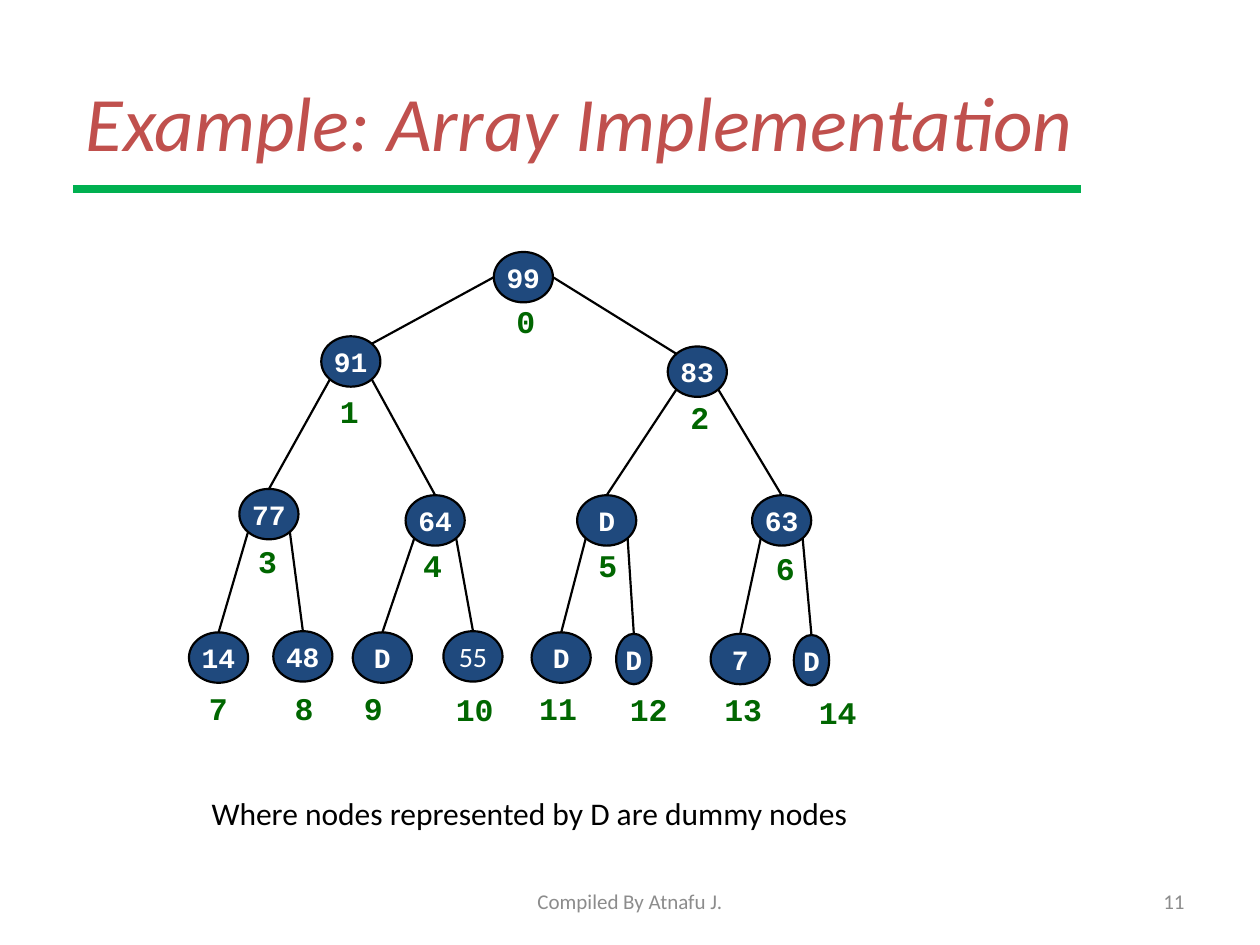
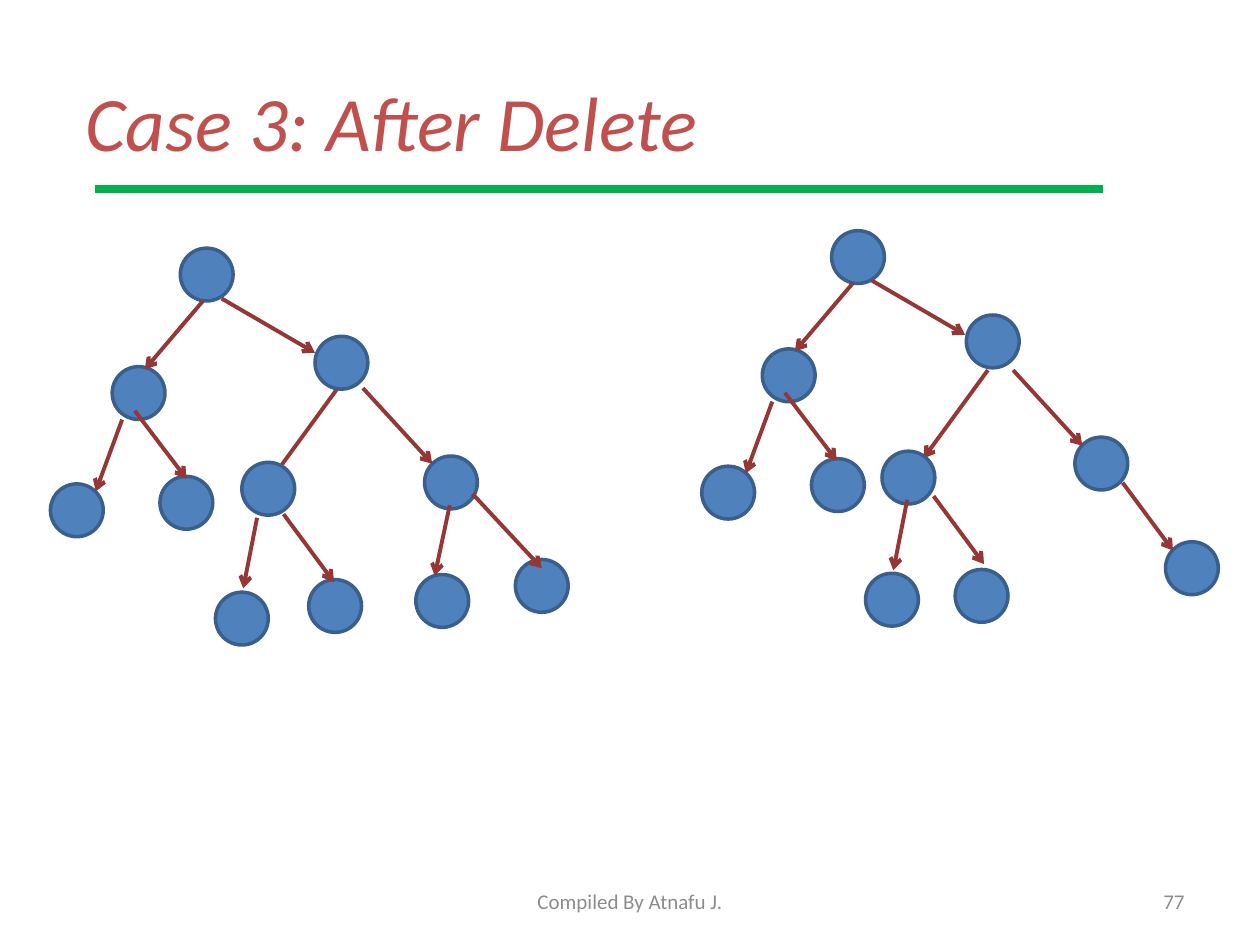
from dataclasses import dataclass
from math import sqrt

from lxml.etree import SubElement
from pptx import Presentation
from pptx.dml.color import RGBColor
from pptx.enum.shapes import MSO_CONNECTOR as Connector, MSO_SHAPE as Shape
from pptx.enum.text import MSO_ANCHOR as Anchor, PP_ALIGN as Align
from pptx.oxml.ns import qn
from pptx.util import Pt


@dataclass(frozen=True)
class Theme:
    title: str = "C0504D"
    rule: str = "00B050"
    footer: str = "8C8C8C"
    text: str = "000000"
    heap_node: str = "1F497D"
    heap_text: str = "FFFFFF"
    heap_index: str = "006600"
    tree_node: str = "4F81BD"
    tree_border: str = "3A5F8C"
    arrow: str = "953735"
    body_font: str = "Calibri"
    code_font: str = "Courier New"
    title_size: float = 44
    body_size: float = 18
    node_size: float = 16
    footer_size: float = 12
    rule_width: float = 4.25
    heap_line: float = 1.25
    tree_line: float = 2
    arrow_line: float = 2.25


THEME = Theme()
FOOTER = "Compiled By Atnafu J."

HEAP_TITLE = "Example: Array Implementation"
HEAP_PAGE = "11"
HEAP_NOTE = "Where nodes represented by D are dummy nodes"
HEAP_WIDE, HEAP_NARROW, HEAP_HEIGHT = 33.8, 20.2, 28.8
INDEX_NARROW, INDEX_WIDE = 23.8, 38.5
FIRST_WIDE_INDEX = 9
PLAIN_INDEX = 10
NARROW_INDEXES = (12, 14)

HEAP = [
    ("99", (282.2, 144), (288, 169.2)),
    ("91", (183.6, 192.2), (187.2, 220.3)),
    ("83", (381.6, 198), (387.4, 223.9)),
    ("77", (136.8, 279.4), (140.4, 306)),
    ("64", (231.8, 283), (234.7, 308.2)),
    ("D", (329.8, 283), (334.8, 308.2)),
    ("63", (429.8, 283), (436.3, 310.3)),
    ("14", (108, 361.4), (112.3, 390.2)),
    ("48", (156.2, 360.7), (161.3, 390.2)),
    ("D", (201.6, 361.4), (200.9, 390.2)),
    ("55", (253.4, 360.7), (253.4, 391)),
    ("D", (303.8, 361.4), (301, 390.2)),
    ("D", (352.1, 362.2), (352.8, 391)),
    ("7", (406.1, 362.2), (406.8, 391)),
    ("D", (453.6, 362.9), (460.8, 392.4)),
]

TREE_TITLE = "Case 3: After Delete"
TREE_PAGE = "77"
TREE_DIAMETER = 30.2
TREE_SHIFT = (371.5, -10.3)
BEHIND_NODES = "right-left"

NODES_BEFORE = [
    (103, 141.8), (64.1, 209.5), (180, 192.2), (28.8, 276.5),
    (91.4, 272.2), (138.2, 264.2), (242.6, 260.6), (123.1, 338.4),
    (176.4, 331.2), (237.6, 328.3), (294.5, 319.7),
]
NODES_AFTER = [
    (475.2, 131.8), (435.6, 199.4), (552.2, 180), (401, 266.4),
    (463.7, 262.1), (504, 257.8), (614.2, 249.8), (494.6, 327.6),
    (545.8, 325.4), (666, 309.6),
]
ARROWS_BEFORE = {
    "left": ((115.9, 172.1), (82.8, 211)),
    "right": ((126.7, 170.6), (180, 201.6)),
    "left-left": ((69.8, 239.8), (54.7, 280.8)),
    "left-right": ((77, 234.7), (106.6, 273.6)),
    "right-left": ((193, 221.8), (156.2, 272.2)),
    "right-right": ((207.4, 221.8), (247, 265)),
    "right-left-left": ((146.9, 295.9), (139, 336.2)),
    "right-left-right": ((162, 293.8), (190.8, 332.6)),
    "right-right-left": ((257, 288.7), (248.4, 329)),
    "right-right-right": ((270, 282.2), (309.6, 324.7)),
}
MOVED_ARROW = {"right-right-right": ((270, 286.1), (298.8, 324.9))}
DELETED_ARROW = "right-right-left"


def rgb(color):
    return RGBColor.from_string(color)


def write(shape, text, size=THEME.body_size, font=THEME.body_font, color=THEME.text,
          bold=False, italic=False, align=Align.LEFT, anchor=Anchor.TOP,
          wrap=True, space_before=None):
    frame = shape.text_frame
    frame.word_wrap = wrap
    frame.vertical_anchor = anchor
    paragraph = frame.paragraphs[0]
    paragraph.alignment = align
    if space_before:
        spacing = SubElement(paragraph._p.get_or_add_pPr(), qn("a:spcBef"))
        SubElement(spacing, qn("a:spcPct"), val=str(space_before * 1000))
    run = paragraph.add_run()
    run.text = text
    run.font.name = font
    run.font.size = Pt(size)
    run.font.bold = bold
    run.font.italic = italic
    run.font.color.rgb = rgb(color)


def add_text(slide, text, left, top, width, height=28.8, **style):
    box = slide.shapes.add_textbox(Pt(left), Pt(top), Pt(width), Pt(height))
    write(box, text, **style)


def add_ellipse(slide, left, top, width, height, fill, border, weight):
    shape = slide.shapes.add_shape(Shape.OVAL, Pt(left), Pt(top), Pt(width), Pt(height))
    shape.shadow.inherit = False
    shape.fill.solid()
    shape.fill.fore_color.rgb = rgb(fill)
    shape.line.color.rgb = rgb(border)
    shape.line.width = Pt(weight)
    return shape


def add_line(slide, start, end, color, weight, arrow=False):
    points = [Pt(value) for value in (*start, *end)]
    line = slide.shapes.add_connector(Connector.STRAIGHT, *points)
    line.line.color.rgb = rgb(color)
    line.line.width = Pt(weight)
    properties = line._element.spPr
    if arrow:
        SubElement(properties.find(qn("a:ln")), qn("a:tailEnd"), type="arrow")
    SubElement(properties, qn("a:effectLst"))
    return line


def add_frame(presentation, title, page, rule_left):
    slide = presentation.slides.add_slide(presentation.slide_layouts[6])
    add_text(slide, title, 41.8, 23.8, 648, 90, size=THEME.title_size,
             color=THEME.title, italic=True, anchor=Anchor.MIDDLE)
    add_line(slide, (rule_left, 108), (rule_left + 576, 108), THEME.rule, THEME.rule_width)
    footer_style = dict(size=THEME.footer_size, color=THEME.footer, anchor=Anchor.MIDDLE)
    add_text(slide, FOOTER, 246, 500.4, 228, align=Align.CENTER, **footer_style)
    add_text(slide, page, 516, 500.4, 168, align=Align.RIGHT, **footer_style)
    return slide


def heap_width(index):
    return HEAP_NARROW if index in NARROW_INDEXES else HEAP_WIDE


def rim_point(index, across, down):
    left, top = HEAP[index][1]
    width = heap_width(index)
    return left + width / 2 * (1 + across), top + HEAP_HEIGHT / 2 * (1 + down)


def add_heap(slide):
    diagonal = 1 / sqrt(2)
    nodes = []
    for index, (label, position, index_position) in enumerate(HEAP):
        node = add_ellipse(slide, *position, heap_width(index), HEAP_HEIGHT,
                           THEME.heap_node, THEME.text, THEME.heap_line)
        plain = index == PLAIN_INDEX
        write(node, label, size=THEME.node_size, color=THEME.heap_text, bold=not plain,
              font=THEME.body_font if plain else THEME.code_font,
              align=Align.CENTER, anchor=Anchor.MIDDLE, wrap=False)
        nodes.append(node)
        index_width = INDEX_WIDE if index >= FIRST_WIDE_INDEX else INDEX_NARROW
        add_text(slide, str(index), *index_position, index_width, font=THEME.code_font,
                 color=THEME.heap_index, bold=True, space_before=50)
    for child in range(1, len(HEAP)):
        parent = (child - 1) // 2
        side = -1 if child % 2 else 1
        if parent == 0:
            start = rim_point(parent, side, 0)
            end = rim_point(child, -side * diagonal, -diagonal)
        else:
            start = rim_point(parent, side * diagonal, diagonal)
            end = rim_point(child, 0, -1)
        line = add_line(slide, start, end, THEME.text, THEME.heap_line)
        if parent:
            line.end_connect(nodes[child], 0)


def add_tree(slide, nodes, arrows, shift=(0, 0)):
    def draw_arrow(name):
        start, end = ((x + shift[0], y + shift[1]) for x, y in arrows[name])
        add_line(slide, start, end, THEME.arrow, THEME.arrow_line, arrow=True)

    draw_arrow(BEHIND_NODES)
    for position in nodes:
        add_ellipse(slide, *position, TREE_DIAMETER, TREE_DIAMETER,
                    THEME.tree_node, THEME.tree_border, THEME.tree_line)
    for name in arrows:
        if name != BEHIND_NODES:
            draw_arrow(name)


def main():
    presentation = Presentation()
    presentation.slide_width, presentation.slide_height = Pt(720), Pt(540)

    heap_slide = add_frame(presentation, HEAP_TITLE, HEAP_PAGE, 41.8)
    add_heap(heap_slide)
    add_text(heap_slide, HEAP_NOTE, 113.8, 450, 382.3, wrap=False)

    tree_slide = add_frame(presentation, TREE_TITLE, TREE_PAGE, 54)
    add_tree(tree_slide, NODES_BEFORE, ARROWS_BEFORE)
    arrows_after = {**ARROWS_BEFORE, **MOVED_ARROW}
    del arrows_after[DELETED_ARROW]
    add_tree(tree_slide, NODES_AFTER, arrows_after, TREE_SHIFT)

    presentation.save("out.pptx")


if __name__ == "__main__":
    main()
